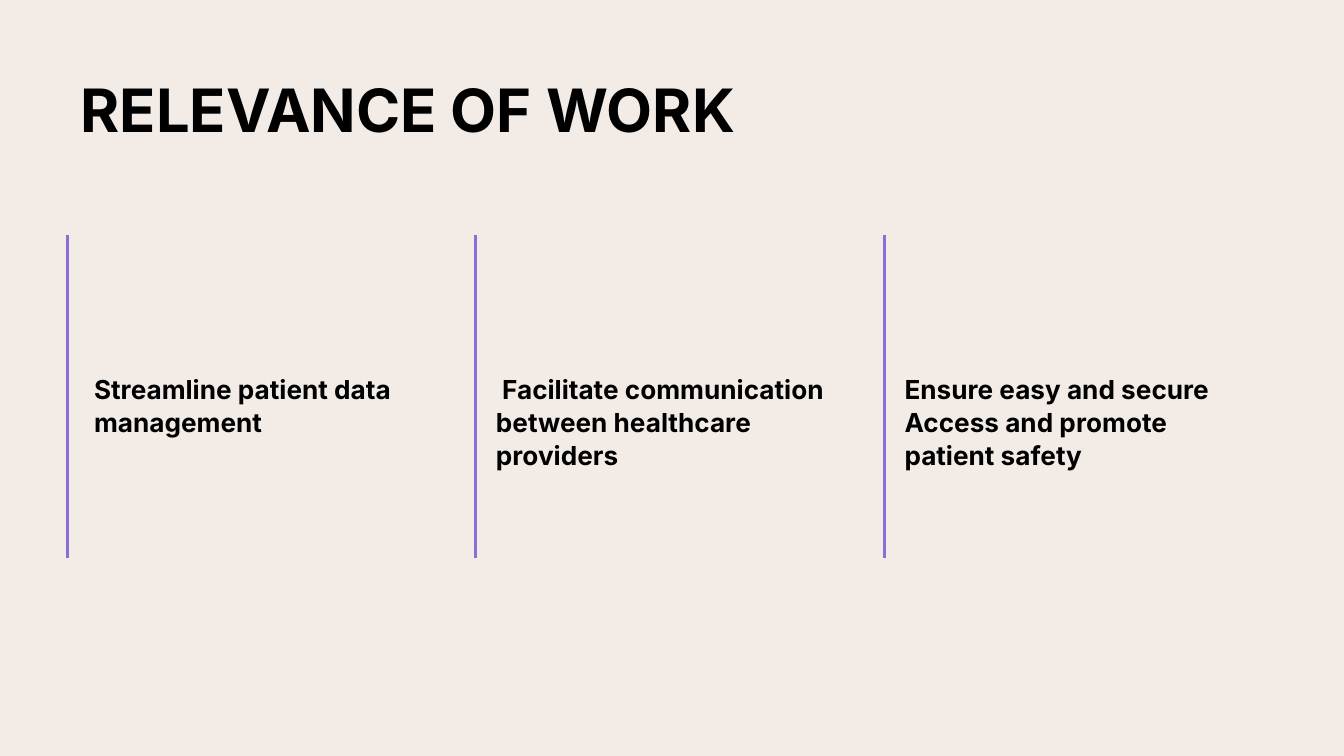
from lxml import etree
from pptx import Presentation, util as u
from pptx.dml.color import RGBColor
from pptx.enum import shapes, text
from pptx.oxml.ns import qn

WIDTH = 10
HEIGHT = WIDTH * 9 / 16
MARGIN, COLUMN = 0.5, 3.04
RULE_TOP, RULE_BOTTOM = 1.75, 4.15
POINT_TOP = 2.67

# wording, width, height, side inset
POINTS = [
    ("Streamline patient data management", 2.94, 1.38, 0.2),
    (" Facilitate communication between healthcare providers", 2.85, 2.39, 0.15),
    ("Ensure easy and secure Access and promote patient safety", 2.85, 2.39, 0.15),
]


def colour(value):
    return RGBColor.from_string(value)


def write(frame, wording, size, ink, font="Inter", bold=True, anchor=text.MSO_ANCHOR.TOP,
          side=0.1, line_spacing=None, after=None):
    frame.word_wrap = True
    frame.auto_size = text.MSO_AUTO_SIZE.NONE
    frame.vertical_anchor = anchor
    frame.margin_left = frame.margin_right = u.Inches(side)
    frame.margin_top = frame.margin_bottom = u.Inches(0.1)
    paragraph = frame.paragraphs[0]
    paragraph.alignment = text.PP_ALIGN.LEFT
    if line_spacing is not None:
        paragraph.line_spacing = line_spacing
    if after is not None:
        paragraph.space_after = u.Pt(after)
    run = paragraph.add_run()
    run.text = wording
    run.font.name, run.font.size, run.font.bold = font, u.Pt(size), bold
    run.font.color.rgb = colour(ink)


class Deck:
    """Holds the style and the current slide; positions across are in columns."""
    ink, accent, paper = "000000", "8E6DD9", "F2EBE6"

    def __init__(self):
        self.show = Presentation()
        self.show.slide_width, self.show.slide_height = u.Inches(WIDTH), u.Inches(HEIGHT)
        self.slide = self.show.slides.add_slide(self.show.slide_layouts[5])
        fill = self.slide.background.fill
        fill.solid()
        fill.fore_color.rgb = colour(self.paper)

    def column_left(self, column):
        return u.Inches(MARGIN + column * COLUMN)

    def title(self, wording):
        heading = self.slide.shapes.title
        heading.left, heading.top = u.Inches(MARGIN), u.Inches(0.49)
        heading.width, heading.height = u.Inches(WIDTH - 2 * MARGIN), u.Inches(0.63)
        write(heading.text_frame, wording, 32, self.ink, anchor=text.MSO_ANCHOR.MIDDLE)

    def rule(self, column):
        x = self.column_left(column)
        rule = self.slide.shapes.add_connector(
            shapes.MSO_CONNECTOR.STRAIGHT, x, u.Inches(RULE_TOP), x, u.Inches(RULE_BOTTOM))
        rule.line.color.rgb = colour(self.accent)
        rule.line.width = u.Pt(1.5)
        etree.SubElement(rule._element.spPr, qn("a:effectLst"))

    def point(self, column, wording, width, height, side):
        box = self.slide.shapes.add_textbox(
            self.column_left(column), u.Inches(POINT_TOP), u.Inches(width), u.Inches(height))
        write(box.text_frame, wording, 14, self.ink, side=side, line_spacing=1.05, after=10)


def main():
    deck = Deck()
    deck.title("RELEVANCE OF WORK")
    for column, point in enumerate(POINTS):
        deck.point(column, *point)
        deck.rule(column)
    deck.show.save("out.pptx")


if __name__ == "__main__":
    main()
